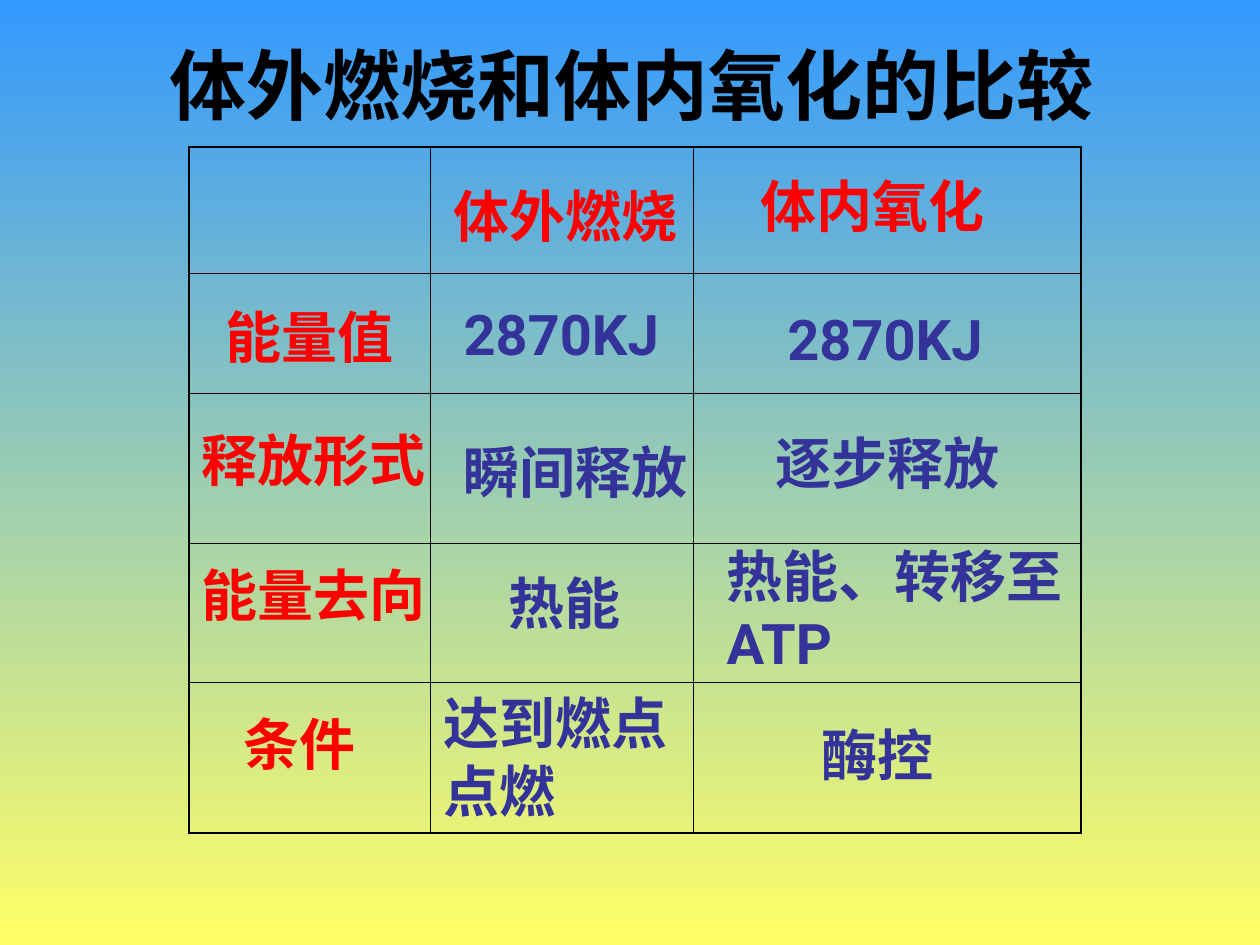
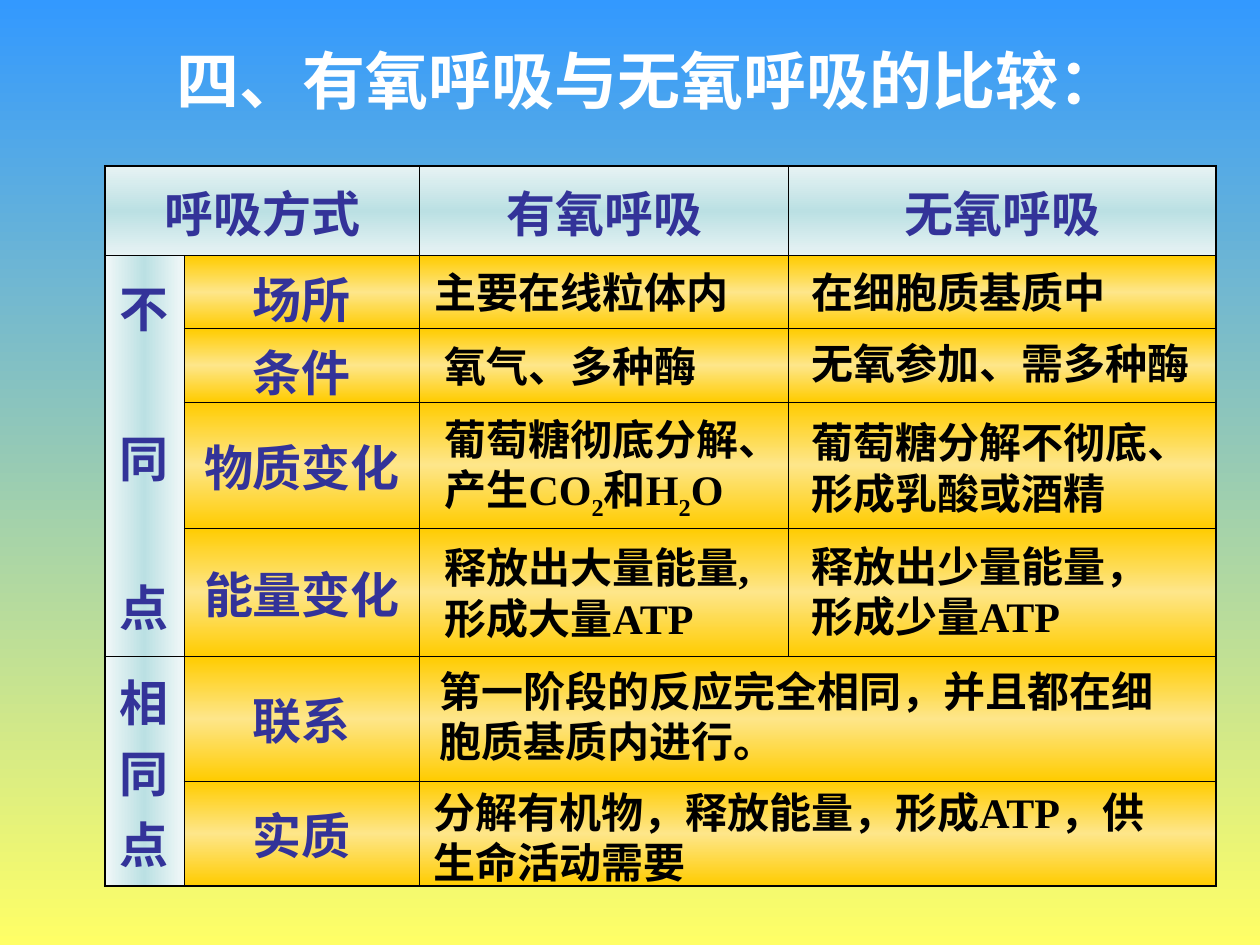
from copy import deepcopy

from lxml.etree import SubElement
from pptx import Presentation
from pptx.dml.color import RGBColor
from pptx.enum.lang import MSO_LANGUAGE_ID as Language
from pptx.enum.text import MSO_ANCHOR as Anchor, MSO_AUTO_SIZE as AutoSize, PP_ALIGN as Align
from pptx.oxml.ns import qn
from pptx.util import Pt

COLOURS = {
    "sky": "3399FF", "sun": "FFFF66", "black": "000000", "white": "FFFFFF",
    "red": "FF0000", "indigo": "333399", "teal": "BBE0E3", "pale": "E7F3F4",
    "mist": "F1F8F8", "gold": "FFCC00", "cream": "FEE68A",
}
# Gradient fills: stop colours and angle
BACKGROUND = (("sky", "sun"), 270)
HEADER = (("pale", "teal", "pale"), 270)
SIDE = (("mist", "teal", "mist"), 0)
BODY = (("gold", "cream", "gold"), 270)
OUTER, INNER = 1.08, 0.45

# Text styles: font, size, colour
BURN_TITLE = ("Roboto", 44, "black")
BURN_LABEL = ("Roboto", 32, "red")
BURN_VALUE = ("Roboto", 32, "indigo")
BREATH_TITLE = ("Times New Roman", 36, "white")
BREATH_LABEL = ("Arial", 28, "indigo")
BREATH_VALUE = ("Times New Roman", 24, "black")

# Texts: paragraphs, left, top, width, height
BURN_HEADING = (["体外燃烧和体内氧化的比较"], 90, 18, 576, 60.5)
BURN_GRID = {"left": 108, "top": 84.2, "columns": [138.2, 149.8, 221.8],
             "rows": [72, 68.4, 85.7, 79.9, 85.7]}
BURN_LABELS = [
    (["体外燃烧"], 252, 100.1, 149.8, 46),
    (["体内氧化"], 427.7, 94.3, 149.8, 46),
    (["能量值"], 121.7, 169.2, 113.8, 46),
    (["释放形式"], 108, 239.8, 144, 46),
    (["能量去向"], 108, 316.8, 144, 46),
    (["条件"], 131.8, 401.8, 95.8, 46),
]
BURN_VALUES = [
    (["2870KJ"], 257.8, 167.8, 144, 46),
    (["2870KJ"], 442.8, 170.6, 149.8, 46),
    (["瞬间释放"], 257.8, 246.2, 149.8, 46),
    (["逐步释放"], 436.3, 241.2, 180, 46),
    (["热能"], 283.7, 321.1, 88.6, 46),
    (["热能、转移至ATP"], 408.2, 306, 216, 84.2),
    (["达到燃点点燃"], 246.2, 390.2, 156.2, 84.2),
    (["酶控"], 462.2, 408.2, 90, 46),
]

BREATH_HEADING = (["四、有氧呼吸与无氧呼吸的比较："], 93.6, 20.2, 583.9, 50.4)
BREATH_GRID = {"left": 59.8, "top": 95, "columns": [45.4, 134.6, 211, 244.1],
               "rows": [51.1, 41.8, 41.8, 72, 73.4, 71.3, 59.8]}
# Merged areas: first and last (row, column)
BREATH_MERGES = [((0, 0), (0, 1)), ((1, 0), (4, 0)), ((5, 0), (6, 0)),
                 ((5, 2), (5, 3)), ((6, 2), (6, 3))]
BREATH_CELLS = {
    (0, 0): ["呼吸方式"], (0, 2): ["有氧呼吸"], (0, 3): ["无氧呼吸"],
    (1, 0): ["不", "同", "点"], (5, 0): ["相同点"],
    (1, 1): ["场所"], (2, 1): ["条件"], (3, 1): ["物质变化"],
    (4, 1): ["能量变化"], (5, 1): ["联系"], (6, 1): ["实质"],
}
# Pieces between bars are subscripts
BREATH_VALUES = [
    (["主要在线粒体内"], 241.2, 149, 204.5, 36),
    (["在细胞质基质中"], 456.5, 149, 232.6, 36),
    (["氧气、多种酶"], 247, 190.8, 198.7, 36),
    (["无氧参加、需多种酶"], 456.5, 189.4, 232.6, 36),
    (["葡萄糖彻底分解、", "产生CO|2|和H|2|O"], 247, 232.6, 215.3, 69),
    (["葡萄糖分解不彻底、", "形成乳酸或酒精"], 456.5, 234.7, 238.3, 64.8),
    (["释放出大量能量,", "形成大量ATP"], 247, 306, 198.7, 64.8),
    (["释放出少量能量，", "形成少量ATP"], 456.5, 305.3, 232.6, 64.8),
    (["第一阶段的反应完全相同，并且都在细胞质基质内进行。"], 244.1, 376.6, 439.2, 64.8),
    (["分解有机物，释放能量，形成ATP，供生命活动需要"], 240.5, 445.7, 431.3, 64.8),
]
LETTER_GAP = 45


def rgb(name):
    return RGBColor.from_string(COLOURS[name])


def paint(fill, holder, gradient):
    """Give a fill two or three evenly spaced stops; holder is its XML parent."""
    names, angle = gradient
    fill.gradient()
    fill.gradient_angle = angle
    stop_list = next(holder.iter(qn("a:gsLst")))
    if len(names) == 3:
        stop_list.append(deepcopy(stop_list[-1]))
    for index, (stop, name) in enumerate(zip(fill.gradient_stops, names)):
        stop.position = index / (len(names) - 1)
        stop.color.rgb = rgb(name)


def write(frame, paragraphs, style, align=Align.LEFT, gap=0):
    font_name, size, colour = style
    for index, text in enumerate(paragraphs):
        para = frame.add_paragraph() if index else frame.paragraphs[0]
        para.alignment = align
        if index and gap:
            para.space_before = Pt(gap)
        for number, piece in enumerate(text.split("|")):
            span = para.add_run()
            span.text = piece
            font = span.font
            font.name, font.size, font.bold = font_name, Pt(size), True
            font.color.rgb = rgb(colour)
            font.language_id = Language.SIMPLIFIED_CHINESE
            if number % 2:
                font._element.set("baseline", "-25000")


def add_texts(page, items, style):
    for paragraphs, *place in items:
        box = page.shapes.add_textbox(*map(Pt, place))
        box.text_frame.word_wrap = True
        box.text_frame.auto_size = AutoSize.SHAPE_TO_FIT_TEXT
        write(box.text_frame, paragraphs, style)


def set_borders(cell, widths):
    properties = cell._tc.get_or_add_tcPr()
    for index, (side, width) in enumerate(zip("LRTB", widths)):
        line = SubElement(properties, qn(f"a:ln{side}"), w=str(Pt(width)))
        fill = SubElement(line, qn("a:solidFill"))
        SubElement(fill, qn("a:srgbClr"), val=COLOURS["black"])
        properties.insert(index, line)


def add_grid(page, grid, merges=()):
    """Add an unfilled table with a heavier outer frame."""
    columns, rows = grid["columns"], grid["rows"]
    table = page.shapes.add_table(
        len(rows), len(columns), Pt(grid["left"]), Pt(grid["top"]),
        Pt(sum(columns)), Pt(sum(rows))).table
    table.first_row = table.horz_banding = False
    for column, width in zip(table.columns, columns):
        column.width = Pt(width)
    for row, height in zip(table.rows, rows):
        row.height = Pt(height)
    for first, last in merges:
        table.cell(*first).merge(table.cell(*last))
    for r in range(len(rows)):
        for c in range(len(columns)):
            cell = table.cell(r, c)
            cell.fill.background()
            wide, tall = (cell.span_width, cell.span_height) if cell.is_merge_origin else (1, 1)
            on_frame = (c == 0, c + wide == len(columns), r == 0, r + tall == len(rows))
            set_borders(cell, [OUTER if edge else INNER for edge in on_frame])
    return table


def add_page(deck, heading, style):
    page = deck.slides.add_slide(deck.slide_layouts[6])
    paint(page.background.fill, page.element, BACKGROUND)
    add_texts(page, [heading], style)
    return page


def build_burning(deck):
    page = add_page(deck, BURN_HEADING, BURN_TITLE)
    add_grid(page, BURN_GRID)
    add_texts(page, BURN_LABELS, BURN_LABEL)
    add_texts(page, BURN_VALUES, BURN_VALUE)


def build_breathing(deck):
    page = add_page(deck, BREATH_HEADING, BREATH_TITLE)
    table = add_grid(page, BREATH_GRID, BREATH_MERGES)
    for r in range(len(BREATH_GRID["rows"])):
        for c in range(len(BREATH_GRID["columns"])):
            cell = table.cell(r, c)
            paint(cell.fill, cell._tc, HEADER if r == 0 else BODY if c else SIDE)
            if (r, c) in BREATH_CELLS:
                cell.vertical_anchor = Anchor.MIDDLE
                write(cell.text_frame, BREATH_CELLS[r, c], BREATH_LABEL, Align.CENTER, LETTER_GAP)
    add_texts(page, BREATH_VALUES, BREATH_VALUE)


def main():
    deck = Presentation()
    deck.slide_width, deck.slide_height = Pt(720), Pt(540)
    build_burning(deck)
    build_breathing(deck)
    deck.save("out.pptx")


if __name__ == "__main__":
    main()
